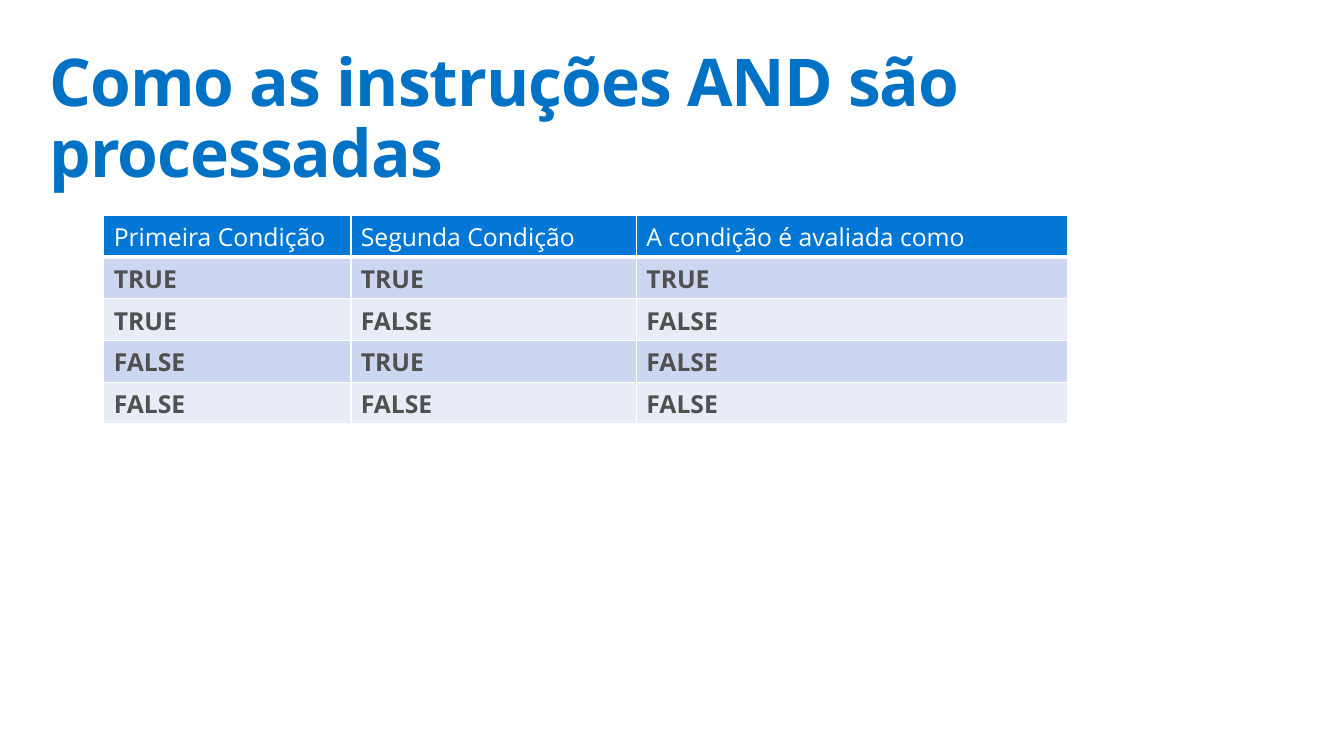
from dataclasses import dataclass
from itertools import product

from lxml import etree
from pptx import Presentation
from pptx.dml.color import RGBColor
from pptx.oxml.ns import qn
from pptx.util import Cm, Pt


@dataclass(frozen=True)
class Theme:
    font: str = "Open Sans"
    title_size: int = 48
    table_size: int = 18
    title: str = "0072C6"
    header: str = "0377D6"
    header_text: str = "FFFFFF"
    body_text: str = "505050"
    bands: tuple = ("CCD6F0", "E7ECF7")
    border: str = "FFFFFF"


class SlideBuilder:
    def __init__(self, slide, theme):
        self.slide = slide
        self.theme = theme

    def add_text(self, paragraph, text, size, color, bold):
        run = paragraph.add_run()
        run.text = text
        run.font.name = self.theme.font
        run.font.size = Pt(size)
        run.font.bold = bold
        run.font.color.rgb = RGBColor.from_string(color)
        return run

    def title(self, text, left, top, width, height):
        box = self.slide.shapes.add_textbox(Cm(left), Cm(top), Cm(width), Cm(height))
        frame = box.text_frame
        frame.word_wrap = True
        frame.margin_left = frame.margin_right = Cm(0.25)
        frame.margin_top = frame.margin_bottom = Cm(0.25)
        paragraph = frame.paragraphs[0]
        paragraph.line_spacing = 0.9
        run = self.add_text(paragraph, text, self.theme.title_size, self.theme.title, True)
        run._r.get_or_add_rPr().set("spc", "-70")

    def border(self, cell, side, width):
        properties = cell._tc.get_or_add_tcPr()
        line = etree.SubElement(properties, qn(f"a:ln{side}"), w=str(int(Pt(width))))
        fill = etree.SubElement(line, qn("a:solidFill"))
        etree.SubElement(fill, qn("a:srgbClr"), val=self.theme.border)

    def cell(self, cell, text, fill, color, is_header):
        for side in "LRTB":
            self.border(cell, side, 3 if is_header and side == "B" else 1)
        cell.fill.solid()
        cell.fill.fore_color.rgb = RGBColor.from_string(fill)
        paragraph = cell.text_frame.paragraphs[0]
        self.add_text(paragraph, text, self.theme.table_size, color, not is_header)

    def table(self, rows, left, top, column_widths, row_height):
        table = self.slide.shapes.add_table(
            len(rows), len(column_widths), Cm(left), Cm(top),
            Cm(sum(column_widths)), Cm(row_height * len(rows)),
        ).table
        for column, width in zip(table.columns, column_widths):
            column.width = Cm(width)
        for index, values in enumerate(rows):
            is_header = index == 0
            if is_header:
                fill, color = self.theme.header, self.theme.header_text
            else:
                fill, color = self.theme.bands[(index - 1) % 2], self.theme.body_text
            table.rows[index].height = Cm(row_height)
            for column, text in enumerate(values):
                self.cell(table.cell(index, column), text, fill, color, is_header)


presentation = Presentation()
presentation.slide_width = Cm(34.54)
presentation.slide_height = Cm(19.43)
builder = SlideBuilder(
    presentation.slides.add_slide(presentation.slide_layouts[6]), Theme()
)

headings = ("Primeira Condição", "Segunda Condição", "A condição é avaliada como")
truth_table = [
    [str(value).upper() for value in (first, second, first and second)]
    for first, second in product((True, False), repeat=2)
]

builder.title("Como as instruções AND são processadas", 1.02, 1.02, 32.5, 2.54)
builder.table([headings, *truth_table], 2.67, 5.54, (6.35, 7.34, 11.07), 1.07)

presentation.save("out.pptx")
